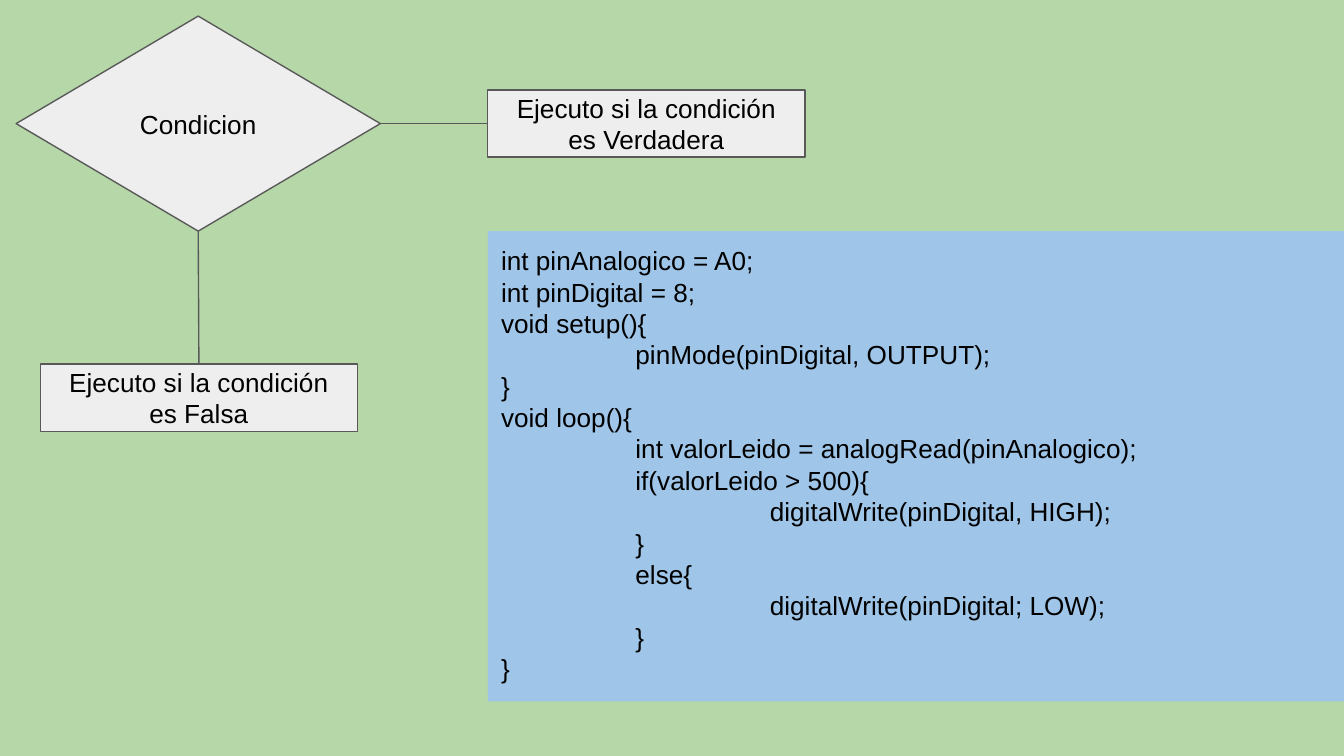
from dataclasses import dataclass

import pptx
import pptx.dml.color
import pptx.enum.shapes
import pptx.enum.text
import pptx.oxml
import pptx.oxml.ns
import pptx.shapes.autoshape
import pptx.slide
import pptx.text.text
import pptx.util

Inches = pptx.util.Inches
Shape = pptx.shapes.autoshape.Shape
ShapeType = pptx.enum.shapes.MSO_SHAPE
TOP, LEFT, BOTTOM, RIGHT = range(4)


@dataclass(frozen=True)
class Theme:
    background: str = "B6D7A8"
    node: str = "EEEEEE"
    line: str = "595959"
    code: str = "9FC5E8"
    text: str = "000000"
    font: str = "Arial"
    text_size: int = 14
    line_width: float = 0.75
    inset: float = 0.1


@dataclass(frozen=True)
class Node:
    kind: ShapeType
    text: str
    left: float
    top: float
    width: float
    height: float


THEME = Theme()

CONDITION = Node(ShapeType.FLOWCHART_DECISION, "Condicion", 0.12, 0.12, 2.71, 1.6)
TRUE_BRANCH = Node(
    ShapeType.RECTANGLE, "Ejecuto si la condición es Verdadera", 3.63, 0.67, 2.36, 0.5
)
FALSE_BRANCH = Node(
    ShapeType.RECTANGLE, "Ejecuto si la condición es Falsa", 0.3, 2.71, 2.36, 0.5
)
CODE_BOX = Node(
    ShapeType.RECTANGLE,
    """int pinAnalogico = A0;
int pinDigital = 8;
void setup(){
\tpinMode(pinDigital, OUTPUT);
}
void loop(){
\tint valorLeido = analogRead(pinAnalogico);
\tif(valorLeido > 500){
\t\tdigitalWrite(pinDigital, HIGH);
\t}
\telse{
\t\tdigitalWrite(pinDigital; LOW);
\t}
}""",
    3.63, 1.72, 6.4, 3.5,
)


def color(value: str) -> pptx.dml.color.RGBColor:
    return pptx.dml.color.RGBColor.from_string(value)


def add_tab_stops(paragraph: pptx.text.text._Paragraph) -> None:
    """Indent code by one inch per level."""
    stops = "".join(f'<a:tab pos="{Inches(level)}" algn="l"/>' for level in (1, 2))
    paragraph._p.get_or_add_pPr().append(
        pptx.oxml.parse_xml(
            f'<a:tabLst {pptx.oxml.ns.nsdecls("a")}>{stops}</a:tabLst>'
        )
    )


def add_filled_shape(slide: pptx.slide.Slide, node: Node, fill: str) -> Shape:
    shape = slide.shapes.add_shape(
        node.kind, Inches(node.left), Inches(node.top),
        Inches(node.width), Inches(node.height),
    )
    shape.shadow.inherit = False
    shape.fill.solid()
    shape.fill.fore_color.rgb = color(fill)
    frame = shape.text_frame
    frame.word_wrap = True
    frame.margin_left = frame.margin_right = Inches(THEME.inset)
    frame.margin_top = frame.margin_bottom = Inches(THEME.inset)
    return shape


def add_text(paragraph: pptx.text.text._Paragraph, text: str) -> None:
    run = paragraph.add_run()
    run.text = text
    run.font.name = THEME.font
    run.font.size = pptx.util.Pt(THEME.text_size)
    run.font.color.rgb = color(THEME.text)


def add_node(slide: pptx.slide.Slide, node: Node) -> Shape:
    shape = add_filled_shape(slide, node, THEME.node)
    shape.line.color.rgb = color(THEME.line)
    shape.line.width = pptx.util.Pt(THEME.line_width)
    shape.text_frame.vertical_anchor = pptx.enum.text.MSO_ANCHOR.MIDDLE
    paragraph = shape.text_frame.paragraphs[0]
    paragraph.alignment = pptx.enum.text.PP_ALIGN.CENTER
    add_text(paragraph, node.text)
    return shape


def add_code(slide: pptx.slide.Slide, node: Node) -> None:
    shape = add_filled_shape(slide, node, THEME.code)
    shape.line.fill.background()
    frame = shape.text_frame
    frame.auto_size = pptx.enum.text.MSO_AUTO_SIZE.SHAPE_TO_FIT_TEXT
    frame.vertical_anchor = pptx.enum.text.MSO_ANCHOR.TOP
    for index, code_line in enumerate(node.text.splitlines()):
        paragraph = frame.add_paragraph() if index else frame.paragraphs[0]
        add_tab_stops(paragraph)
        paragraph.alignment = pptx.enum.text.PP_ALIGN.LEFT
        add_text(paragraph, code_line)


def connect(
    slide: pptx.slide.Slide, start: Shape, start_side: int, end: Shape, end_side: int
) -> None:
    connector = slide.shapes.add_connector(
        pptx.enum.shapes.MSO_CONNECTOR.STRAIGHT, 0, 0, 0, 0
    )
    connector.begin_connect(start, start_side)
    connector.end_connect(end, end_side)
    connector.line.color.rgb = color(THEME.line)
    connector.line.width = pptx.util.Pt(THEME.line_width)
    connector._element.spPr.append(
        pptx.oxml.parse_xml(f'<a:effectLst {pptx.oxml.ns.nsdecls("a")}/>')
    )


def main() -> None:
    presentation = pptx.Presentation()
    presentation.slide_width = Inches(10)
    presentation.slide_height = presentation.slide_width * 9 // 16
    blank_layout = presentation.slide_layouts[6]
    slide = presentation.slides.add_slide(blank_layout)
    slide.background.fill.solid()
    slide.background.fill.fore_color.rgb = color(THEME.background)

    condition = add_node(slide, CONDITION)
    true_branch = add_node(slide, TRUE_BRANCH)
    connect(slide, condition, RIGHT, true_branch, LEFT)
    false_branch = add_node(slide, FALSE_BRANCH)
    connect(slide, condition, BOTTOM, false_branch, TOP)
    add_code(slide, CODE_BOX)

    presentation.save("out.pptx")


if __name__ == "__main__":
    main()
